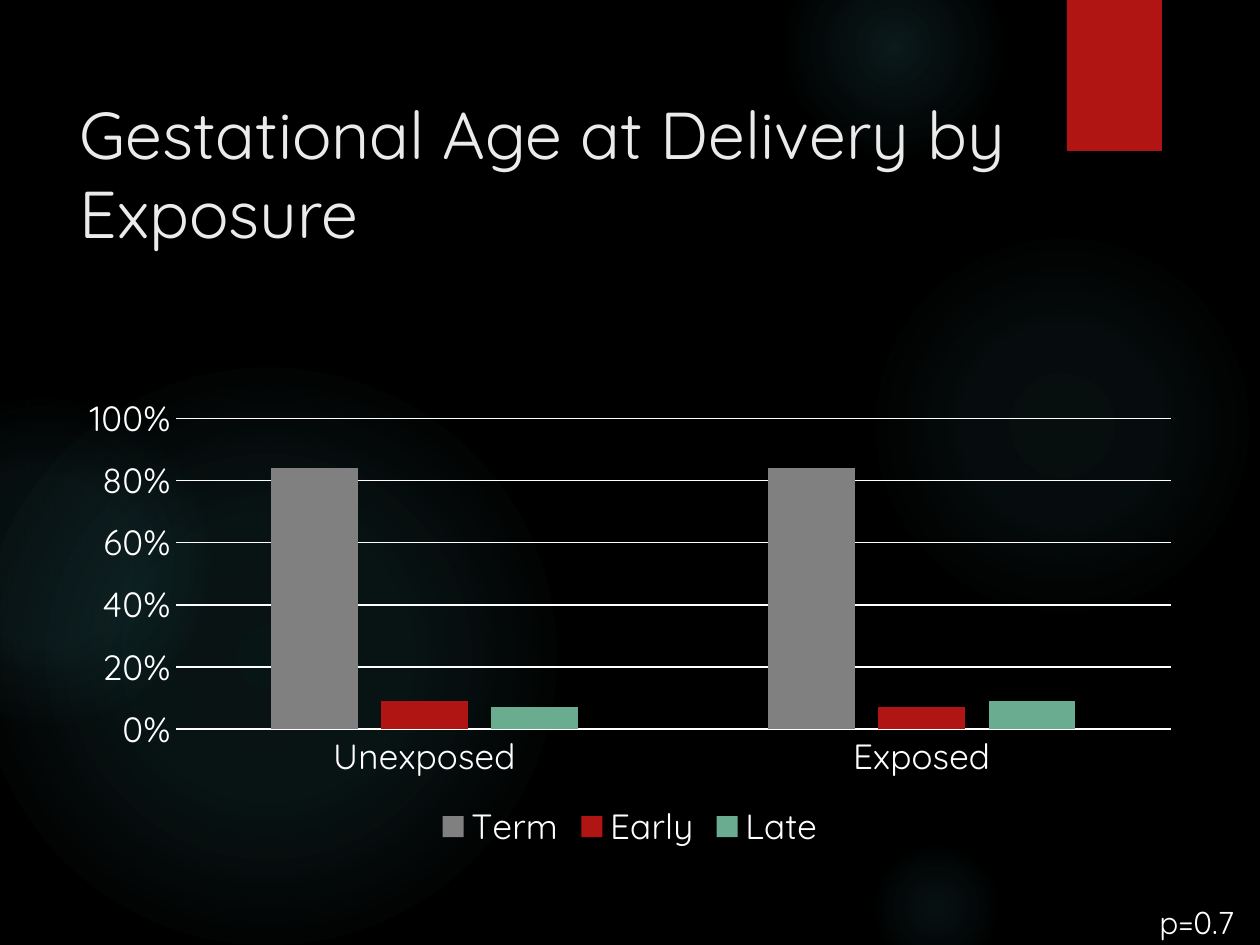
"""Build the slide on gestational age at delivery by exposure."""
from lxml import etree
from pptx import Presentation, util as u
from pptx.chart.data import CategoryChartData
from pptx.dml.color import RGBColor
from pptx.enum import chart as charts, shapes, text
from pptx.oxml import parse_xml
from pptx.oxml.ns import nsdecls, qn

PX = u.Inches(1) / 126
FONT, WHITE, RED, GLOW = "Quicksand", "FFFFFF", "B01513", "50B9C1"

TITLE = "Gestational Age at Delivery by Exposure"
NOTE = "p=0.7"
CATEGORIES = ["Unexposed", "Exposed"]
SERIES = [
    ("Term", (0.84, 0.84), "808080"),
    ("Early", (0.09, 0.07), RED),
    ("Late", (0.07, 0.09), "6AAC90"),
]
GLOWS = [  # left, top, diameter, (position %, opacity %) stops
    (868, 231, 388, ((0, 7), (36, 6), (69, 0))),
    (784, -63, 220, ((0, 14), (36, 7), (73, 0))),
    (868, 840, 136, ((0, 9), (36, 5), (66, 0))),
    (-21, 368, 577, ((0, 11), (36, 10), (75, 0))),
    (-116, 399, 325, ((0, 8), (36, 8), (72, 0))),
]
RIBBON_BOX = (1067, 0, 95, 151)
TITLE_BOX = (67, 87, 956, 140)
CHART_BOX = (67, 387, 1126, 469)
NOTE_BOX = (1147, 897, 227, 48)


def px(*lengths):
    return [u.Emu(round(length * PX)) for length in lengths]


def color(value):
    return RGBColor.from_string(value)


def apply(target, **values):
    for name, value in values.items():
        setattr(target, name, value)


def paint(fill, value):
    fill.solid()
    fill.fore_color.rgb = color(value)


def style_font(font, size, value=WHITE):
    apply(font, name=FONT, size=u.Pt(size), bold=False)
    font.color.rgb = color(value)


def style_line(line):
    line.width = u.Pt(0.75)
    paint(line.fill, WHITE)


def add_plain_shape(slide, kind, box, value):
    shape = slide.shapes.add_shape(kind, *px(*box))
    shape.shadow.inherit = False
    paint(shape.fill, value)
    shape.line.fill.background()
    return shape


def add_glow(slide, left, top, diameter, stops):
    shape = add_plain_shape(slide, shapes.MSO_SHAPE.OVAL, (left, top, diameter, diameter), GLOW)
    stop_xml = "".join(
        f'<a:gs pos="{position * 1000}"><a:srgbClr val="{GLOW}">'
        f'<a:alpha val="{opacity * 1000}"/></a:srgbClr></a:gs>'
        for position, opacity in stops)
    gradient = parse_xml(
        f'<a:gradFill {nsdecls("a")}><a:gsLst>{stop_xml}</a:gsLst><a:path path="circle">'
        '<a:fillToRect l="50000" t="50000" r="50000" b="50000"/></a:path></a:gradFill>')
    properties = shape._element.spPr
    properties.replace(properties.find(qn("a:solidFill")), gradient)


def add_ribbon(slide):
    ribbon = add_plain_shape(slide, shapes.MSO_SHAPE.RECTANGLE, RIBBON_BOX, RED)
    effects = ribbon._element.spPr.find(qn("a:effectLst"))
    shadow = etree.SubElement(effects, qn("a:outerShdw"), blurRad=str(u.Pt(3)),
                              dist=str(u.Pt(2)), dir="5400000", rotWithShape="0")
    shade = etree.SubElement(shadow, qn("a:srgbClr"), val="000000")
    etree.SubElement(shade, qn("a:alpha"), val="45000")


def fill_text(shape, words, size, value):
    frame = shape.text_frame
    frame.text = words
    apply(frame, word_wrap=True, auto_size=text.MSO_AUTO_SIZE.NONE,
          vertical_anchor=text.MSO_ANCHOR.TOP)
    paragraph = frame.paragraphs[0]
    paragraph.alignment = text.PP_ALIGN.LEFT
    style_font(paragraph.runs[0].font, size, value)


def add_title(slide):
    title = slide.shapes.title
    apply(title, **dict(zip(("left", "top", "width", "height"), px(*TITLE_BOX))))
    fill_text(title, TITLE, 37.8, "EBEBEB")
    slide.shapes._spTree.append(title._element)


def add_delivery_chart(slide):
    data = CategoryChartData(number_format="0%")
    data.categories = CATEGORIES
    for name, values, _ in SERIES:
        data.add_series(name, values)
    chart = slide.shapes.add_chart(
        charts.XL_CHART_TYPE.COLUMN_CLUSTERED, *px(*CHART_BOX), data).chart
    apply(chart, has_title=False, has_legend=True)
    style_font(chart.font, 20)
    apply(chart.legend, position=charts.XL_LEGEND_POSITION.BOTTOM, include_in_layout=False)
    style_font(chart.legend.font, 20)

    plot = chart.plots[0]
    apply(plot, gap_width=219, overlap=-27, vary_by_categories=False)
    for series, (_, _, value) in zip(plot.series, SERIES):
        series.invert_if_negative = False
        paint(series.format.fill, value)

    for axis in (chart.category_axis, chart.value_axis):
        apply(axis, major_tick_mark=charts.XL_TICK_MARK.NONE,
              minor_tick_mark=charts.XL_TICK_MARK.NONE)
        style_font(axis.tick_labels.font, 20)
    style_line(chart.category_axis.format.line)
    apply(chart.value_axis, minimum_scale=0, maximum_scale=1, major_unit=0.2,
          has_major_gridlines=True)
    apply(chart.value_axis.tick_labels, number_format="0%", number_format_is_linked=False)
    style_line(chart.value_axis.major_gridlines.format.line)
    chart.value_axis.format.line.fill.background()


def main():
    presentation = Presentation()
    presentation.slide_width, presentation.slide_height = px(1260, 945)
    slide = presentation.slides.add_slide(presentation.slide_layouts[5])
    paint(slide.background.fill, "000000")
    for glow in GLOWS:
        add_glow(slide, *glow)
    add_ribbon(slide)
    add_title(slide)
    add_delivery_chart(slide)
    fill_text(slide.shapes.add_textbox(*px(*NOTE_BOX)), NOTE, 18, WHITE)
    presentation.save("out.pptx")


if __name__ == "__main__":
    main()
